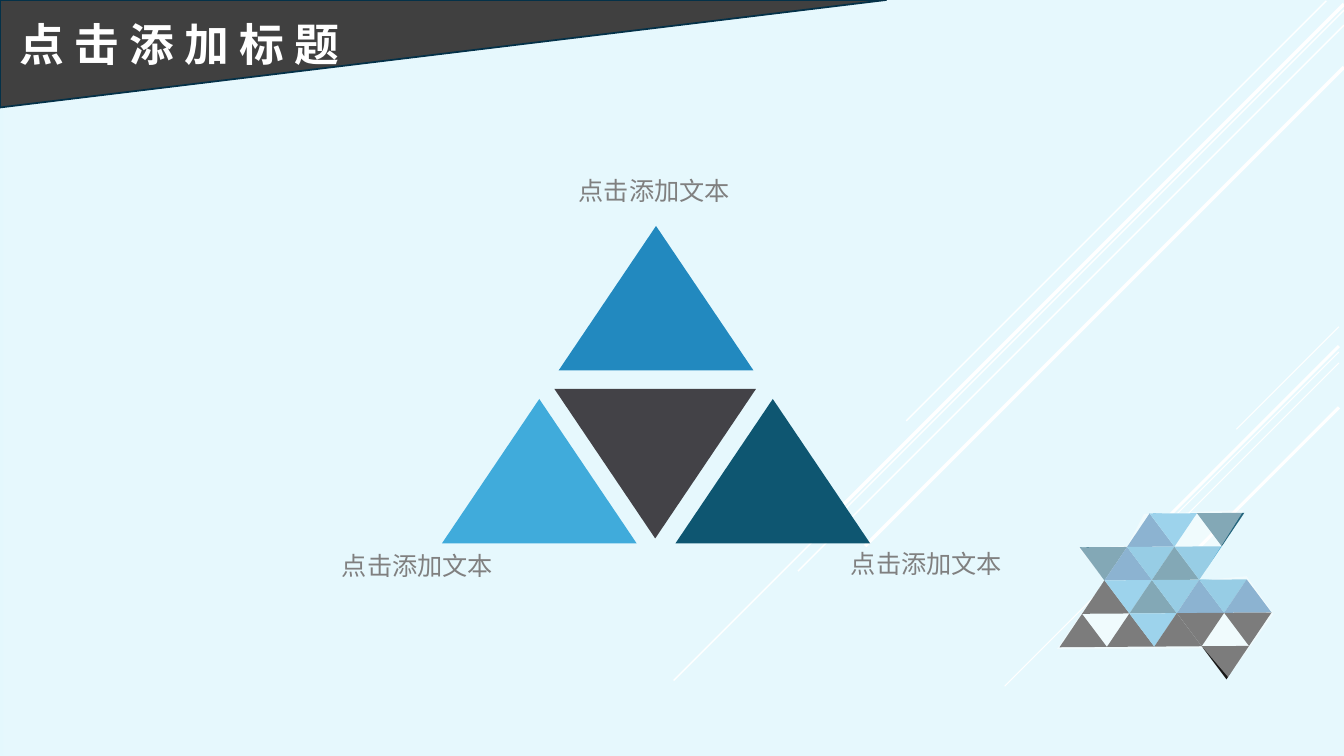
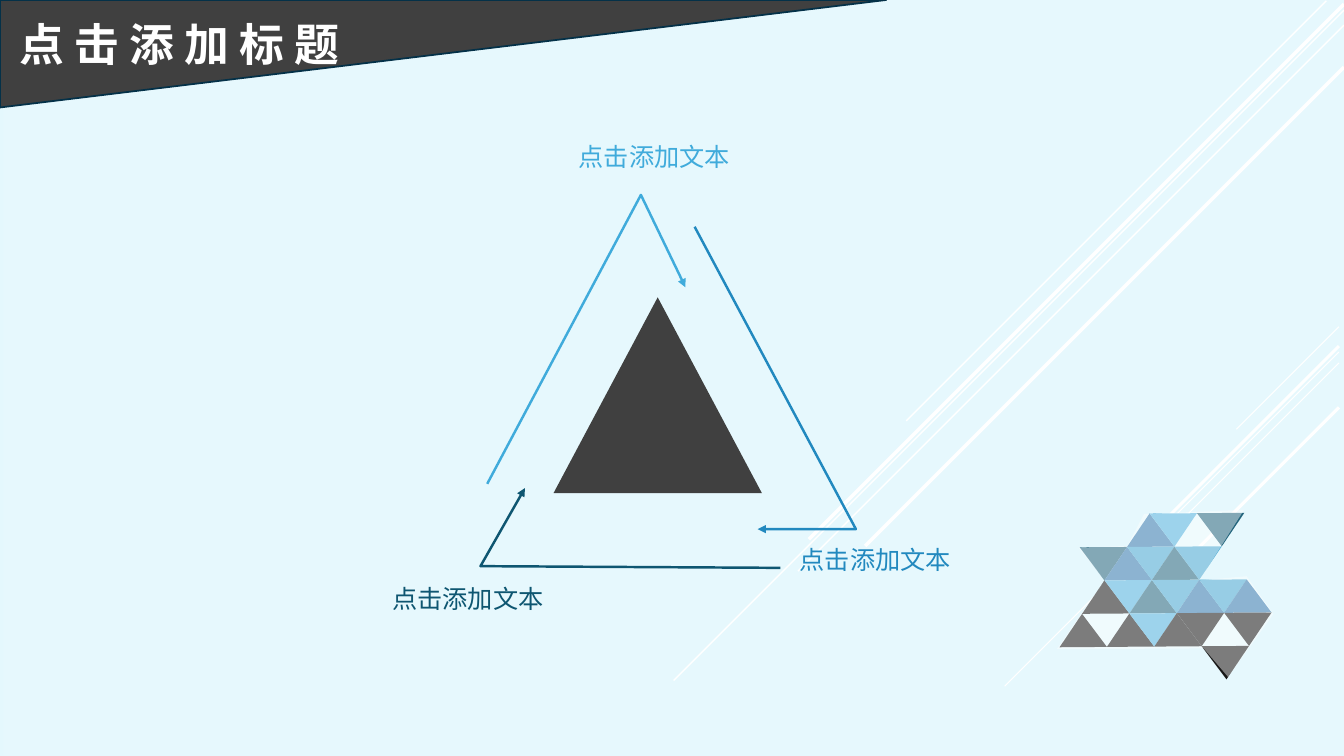
from dataclasses import dataclass

from lxml import etree
from pptx import Presentation
from pptx.dml.color import RGBColor
from pptx.enum.shapes import MSO_CONNECTOR, MSO_SHAPE
from pptx.enum.text import MSO_ANCHOR, MSO_AUTO_SIZE, PP_ALIGN
from pptx.oxml.ns import qn
from pptx.util import Inches, Pt

STRAIGHT = MSO_CONNECTOR.STRAIGHT
TRIANGLE = MSO_SHAPE.ISOSCELES_TRIANGLE
RIGHT_TRIANGLE = MSO_SHAPE.RIGHT_TRIANGLE
RECTANGLE = MSO_SHAPE.RECTANGLE
TOP = MSO_ANCHOR.TOP
LEFT = PP_ALIGN.LEFT
NO_AUTO_SIZE = MSO_AUTO_SIZE.NONE

COLUMNS, ROWS = 160, 90
CELL = Inches(40 / 3) / COLUMNS


@dataclass(frozen=True)
class Theme:
    font: str = "Noto Sans CJK SC"
    title_size: float = 32
    label_size: float = 18
    arrow_width: float = 1.75
    band_line_width: float = 1.25
    background: str = "E4F8FD"
    white: str = "FFFFFF"
    black: str = "000000"
    gray: str = "808080"
    dark: str = "404040"
    charcoal: str = "434247"
    navy: str = "043148"
    teal: str = "0E5671"
    royal: str = "1F6BA5"
    blue: str = "2289BF"
    azure: str = "349FCD"
    sky: str = "40ABDB"


THEME = Theme()
TITLE = "点 击 添 加 标 题"
LABEL = "点击添加文本"
LABEL_SIZE = (18.2, 3.6)

RAYS = [
    (159.4, 38.9, 12.2, 0.75),
    (159.4, 41.9, 39.8, 0.75),
    (159.4, 43.2, 25.3, 0.75),
    (159.4, 41.2, 23.4, 2.25),
    (159.4, 48.5, 17, 2.25),
    (157.9, 0.1, 50, 1),
    (160, 1.2, 79.8, 1),
    (160, 3, 65, 1),
    (160, 0.5, 63.7, 2.5),
    (160, 8, 57, 2.5),
]

MOSAIC = ["...BL.T", ".TBMTM", ".KLTMBMB", "K.KLKK.K", "......K"]
MOSAIC_COLORS = {
    "B": THEME.royal,
    "L": THEME.sky,
    "M": THEME.azure,
    "T": THEME.teal,
    "K": THEME.black,
}
MOSAIC_VEIL = [
    (134.2, 65), (136.2, 61.2), (148.1, 60.7), (142.8, 69.1),
    (148.4, 68.6), (151.6, 73.1), (146.2, 80.6), (143.3, 77.2),
    (125.8, 77.3), (131.5, 69.1), (128.4, 65.2),
]


def grid(*values):
    return [round(value * CELL) for value in values]


def rgb(color):
    return RGBColor.from_string(color)


def fill_shape(shape, color, opacity=100):
    shape.shadow.inherit = False
    shape.line.fill.background()
    shape.fill.solid()
    shape.fill.fore_color.rgb = rgb(color)
    if opacity < 100:
        color_element = shape.element.spPr.find(".//" + qn("a:srgbClr"))
        etree.SubElement(color_element, qn("a:alpha"), val=str(opacity * 1000))


def add_preset(slide, kind, box, color, opacity=100):
    shape = slide.shapes.add_shape(kind, *grid(*box))
    fill_shape(shape, color, opacity)
    return shape


def add_outline(slide, points, close=True):
    start, *others = [grid(*point) for point in points]
    builder = slide.shapes.build_freeform(*start)
    builder.add_line_segments(others, close=close)
    return builder.convert_to_shape()


def add_ray(slide, x, y, length, width):
    ray = slide.shapes.add_connector(STRAIGHT, *grid(x, y, x - length, y + length))
    ray.line.color.rgb = rgb(THEME.white)
    ray.line.width = Pt(width)
    etree.SubElement(ray.element.spPr, qn("a:effectLst"))


def add_bent_arrow(slide, points, color):
    arrow = add_outline(slide, points, close=False)
    arrow.shadow.inherit = False
    arrow.fill.background()
    arrow.line.color.rgb = rgb(color)
    arrow.line.width = Pt(THEME.arrow_width)
    line = arrow.element.spPr.find(qn("a:ln"))
    etree.SubElement(line, qn("a:tailEnd"), type="triangle")


def format_text(shape, size, color, bold=False):
    for paragraph in shape.text_frame.paragraphs:
        paragraph.alignment = LEFT
        for run in paragraph.runs:
            run.font.size = Pt(size)
            run.font.bold = bold
            run.font.name = THEME.font
            run.font.color.rgb = rgb(color)
    for properties in shape.element.iter(qn("a:rPr")):
        etree.SubElement(properties, qn("a:ea"), typeface=THEME.font)


def add_label(slide, left, top, color):
    label = slide.shapes.add_textbox(*grid(left, top, *LABEL_SIZE))
    frame = label.text_frame
    frame.margin_left = frame.margin_right = 0
    frame.margin_top = frame.margin_bottom = 0
    frame.word_wrap = False
    frame.text = LABEL
    format_text(label, THEME.label_size, color)


def add_title_slide(presentation, layout):
    slide = presentation.slides.add_slide(layout)
    title = slide.shapes.title
    title.left, title.top, title.width, title.height = grid(1.1, 1.4, 56.9, 7.7)
    frame = title.text_frame
    frame.text = TITLE
    frame.auto_size = NO_AUTO_SIZE
    frame.vertical_anchor = TOP
    format_text(title, THEME.title_size, THEME.white, bold=True)
    return slide


def mosaic_point(row, column):
    return (128.4 + 2.82 * column + 0.14 * row, 61.2 + 3.96 * row - 0.02 * column)


def add_mosaic(slide):
    for row, codes in enumerate(MOSAIC):
        for column, code in enumerate(codes):
            if code == ".":
                continue
            points_up = (row + column) % 2 == 1
            tip, base = (row, row + 1) if points_up else (row + 1, row)
            corners = [(tip, column), (base, column + 1), (base, column - 1)]
            tile = add_outline(slide, [mosaic_point(*corner) for corner in corners])
            fill_shape(tile, MOSAIC_COLORS[code])


def add_title_band(slide):
    band = add_preset(slide, RIGHT_TRIANGLE, (0, 0, 105.5, 12.8), THEME.dark)
    band.line.color.rgb = rgb(THEME.navy)
    band.line.width = Pt(THEME.band_line_width)
    band.element.spPr.find(qn("a:xfrm")).set("flipV", "1")


def move_to_layout(slide, layout):
    drawn = [shape for shape in slide.shapes if not shape.is_placeholder]
    for number, shape in enumerate(drawn, start=100):
        shape.element.find(".//" + qn("p:cNvPr")).set("id", str(number))
        layout.shapes.element.append(shape.element)


def build_backdrop(slide, layout):
    layout.background.fill.solid()
    layout.background.fill.fore_color.rgb = rgb(THEME.background)
    for ray in RAYS:
        add_ray(slide, *ray)
    add_mosaic(slide)
    add_preset(slide, RECTANGLE, (0.4, 0, COLUMNS - 0.4, ROWS), THEME.white, 9)
    fill_shape(add_outline(slide, MOSAIC_VEIL), THEME.white, 44)
    add_title_band(slide)
    move_to_layout(slide, layout)


def build_pyramid(slide):
    for left, top, color in [
        (52.6, 47.5, THEME.sky),
        (80.4, 47.5, THEME.teal),
        (66.5, 26.9, THEME.blue),
    ]:
        add_preset(slide, TRIANGLE, (left, top, 23.2, 17.2), color)
    center = add_preset(slide, TRIANGLE, (66, 46.3, 24, 17.8), THEME.charcoal)
    center.rotation = 180
    for left, top in [(68.9, 20.9), (40.7, 65.5), (101.3, 65.3)]:
        add_label(slide, left, top, THEME.gray)


def build_cycle(slide):
    add_preset(slide, TRIANGLE, (65.9, 35.4, 24.8, 23.3), THEME.dark)
    for color, points, label in [
        (THEME.sky, [(58, 57.6), (76.3, 23.2), (81.6, 34.2)], (68.9, 16.8)),
        (THEME.teal, [(92.9, 67.6), (57.2, 67.4), (62.5, 58.1)], (46.7, 69.5)),
        (THEME.blue, [(82.7, 27), (101.9, 63), (90.2, 63)], (95.2, 64.8)),
    ]:
        add_bent_arrow(slide, points, color)
        add_label(slide, *label, color)


def main():
    presentation = Presentation()
    presentation.slide_width, presentation.slide_height = grid(COLUMNS, ROWS)
    layout = presentation.slide_layouts[5]
    pyramid_slide = add_title_slide(presentation, layout)
    build_backdrop(pyramid_slide, layout)
    build_pyramid(pyramid_slide)
    build_cycle(add_title_slide(presentation, layout))
    presentation.save("out.pptx")


if __name__ == "__main__":
    main()
